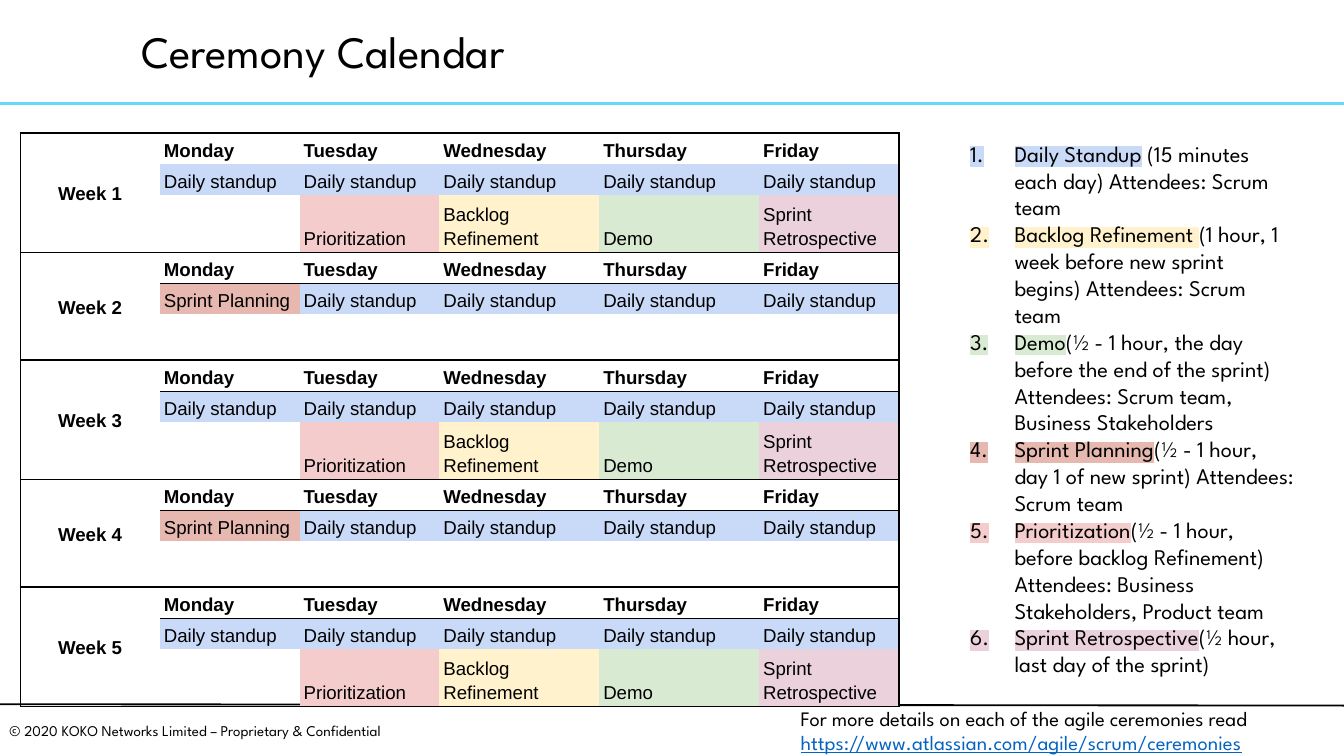
from dataclasses import dataclass

from lxml import etree
from pptx import Presentation
from pptx import util as u
from pptx.dml.color import RGBColor
from pptx.enum import shapes, text
from pptx.oxml import ns


@dataclass(frozen=True)
class Theme:
    display: str = "League Spartan"
    grid: str = "Arial"
    ink: str = "000000"
    accent: str = "65D9F8"
    link: str = "0563C1"
    title_size: float = 24
    list_size: float = 12
    details_size: float = 11
    grid_size: float = 10
    footer_size: float = 8
    border: float = 0.75


@dataclass(frozen=True)
class Ceremony:
    label: str
    color: str
    details: str


@dataclass(frozen=True)
class Box:
    left: float
    top: float
    width: float
    height: float
    inset_x: float = 0.1
    inset_y: float = 0.1


THEME = Theme()
STANDUP = Ceremony("Daily Standup", "C9DAF8", " (15 minutes each day) Attendees: Scrum team")
REFINEMENT = Ceremony("Backlog Refinement ", "FFF2CC",
                      "(1 hour, 1 week before new sprint begins) Attendees: Scrum team")
DEMO = Ceremony("Demo", "D9EAD3",
                "(½ - 1 hour, the day before the end of the sprint) "
                "Attendees: Scrum team, Business Stakeholders")
PLANNING = Ceremony("Sprint Planning", "E6B8AF",
                    "(½ - 1 hour, day 1 of new sprint) Attendees: Scrum team")
PRIORITIZATION = Ceremony("Prioritization", "F4CCCC",
                          "(½ - 1 hour, before backlog Refinement) "
                          "Attendees: Business Stakeholders, Product team")
RETROSPECTIVE = Ceremony("Sprint Retrospective", "EAD1DC", "(½ hour, last day of the sprint)")
CEREMONIES = (STANDUP, REFINEMENT, DEMO, PLANNING, PRIORITIZATION, RETROSPECTIVE)

DAYS = ("Monday", "Tuesday", "Wednesday", "Thursday", "Friday")
CLOSING_WEEK = ((STANDUP,) * 5, (None, PRIORITIZATION, REFINEMENT, DEMO, RETROSPECTIVE))
OPENING_WEEK = ((PLANNING,) + (STANDUP,) * 4, (None,) * 5)
WEEKS = (CLOSING_WEEK, OPENING_WEEK, CLOSING_WEEK, OPENING_WEEK, CLOSING_WEEK)
COLUMN_WIDTHS = (1.04, 1.04, 1.04, 1.19, 1.19, 1.04)
CALENDAR_HEIGHT = 3.28
ROWS_PER_WEEK = 3


def add_run(paragraph, words: str, size: float, font: str = THEME.display,
            color: str = THEME.ink, highlight: str = "", bold: bool = False):
    run = paragraph.add_run()
    run.text = words
    run.font.size = u.Pt(size)
    run.font.name = font
    run.font.bold = bold
    run.font.color.rgb = RGBColor.from_string(color)
    if highlight:
        marker = etree.Element(ns.qn("a:highlight"))
        etree.SubElement(marker, ns.qn("a:srgbClr"), val=highlight)
        run.font.fill._xPr.find(ns.qn("a:solidFill")).addnext(marker)
    return run


def add_text_box(slide, box: Box):
    frame = slide.shapes.add_textbox(u.Inches(box.left), u.Inches(box.top),
                                     u.Inches(box.width), u.Inches(box.height)).text_frame
    frame.word_wrap = True
    frame.margin_left = frame.margin_right = u.Inches(box.inset_x)
    frame.margin_top = frame.margin_bottom = u.Inches(box.inset_y)
    return frame


def add_rule(slide, start: tuple[float, float], end: tuple[float, float],
             color: str, width: float) -> None:
    rule = slide.shapes.add_connector(shapes.MSO_CONNECTOR.STRAIGHT,
                                      *(u.Inches(value) for value in start + end))
    rule.line.color.rgb = RGBColor.from_string(color)
    rule.line.width = u.Pt(width)
    etree.SubElement(rule._element.spPr, ns.qn("a:effectLst"))


def set_borders(cell, sides: str) -> None:
    properties = cell._tc.get_or_add_tcPr()
    for position, side in enumerate("LRTB"):
        border = etree.Element(ns.qn(f"a:ln{side}"), w=str(u.Pt(THEME.border)))
        if side in sides:
            fill = etree.SubElement(border, ns.qn("a:solidFill"))
            etree.SubElement(fill, ns.qn("a:srgbClr"), val=THEME.ink)
        else:
            etree.SubElement(border, ns.qn("a:noFill"))
        properties.insert(position, border)


def fill_cell(cell, words: str, sides: str, color: str = "",
              bold: bool = False, centered: bool = False) -> None:
    cell.margin_left = cell.margin_right = u.Inches(0.03)
    cell.margin_top = cell.margin_bottom = u.Inches(0.02)
    cell.vertical_anchor = text.MSO_ANCHOR.MIDDLE if centered else text.MSO_ANCHOR.BOTTOM
    if color:
        cell.fill.solid()
        cell.fill.fore_color.rgb = RGBColor.from_string(color)
    else:
        cell.fill.background()
    set_borders(cell, sides)
    if words:
        paragraph = cell.text_frame.paragraphs[0]
        paragraph.line_spacing = 1.15
        if centered:
            paragraph.alignment = text.PP_ALIGN.CENTER
        add_run(paragraph, words, THEME.grid_size, THEME.grid, bold=bold)


def add_week(calendar, index: int, schedule) -> None:
    top = index * ROWS_PER_WEEK
    last = top + ROWS_PER_WEEK - 1
    calendar.cell(top, 0).merge(calendar.cell(last, 0))
    fill_cell(calendar.cell(top, 0), f"Week {index + 1}", "LTB", bold=True, centered=True)
    set_borders(calendar.cell(top + 1, 0), "L")
    set_borders(calendar.cell(last, 0), "LB")
    for column, day in enumerate(DAYS, start=1):
        edge = "R" if column == len(DAYS) else ""
        underline = "B" if index else ""
        fill_cell(calendar.cell(top, column), day, "T" + underline + edge, bold=True)
        for offset, ceremonies in enumerate(schedule, start=1):
            ceremony = ceremonies[column - 1]
            sides = edge + ("B" if top + offset == last else "")
            if offset == 1 and index:
                sides += "T"
            words = ceremony.label.strip() if ceremony else ""
            if ceremony is STANDUP:
                words = words.capitalize()
            fill_cell(calendar.cell(top + offset, column), words, sides,
                      ceremony.color if ceremony else "")


def add_calendar(slide) -> None:
    calendar = slide.shapes.add_table(len(WEEKS) * ROWS_PER_WEEK, len(COLUMN_WIDTHS),
                                      u.Inches(0.15), u.Inches(0.99),
                                      u.Inches(sum(COLUMN_WIDTHS)),
                                      u.Inches(CALENDAR_HEIGHT)).table
    calendar.first_row = calendar.horz_banding = False
    for column, width in zip(calendar.columns, COLUMN_WIDTHS):
        column.width = u.Inches(width)
    for index, schedule in enumerate(WEEKS):
        add_week(calendar, index, schedule)


def add_ceremony_list(slide) -> None:
    legend = add_text_box(slide, Box(6.95, 0.94, 2.78, 4.14))
    for index, ceremony in enumerate(CEREMONIES):
        entry = legend.add_paragraph() if index else legend.paragraphs[0]
        properties = entry._p.get_or_add_pPr()
        properties.set("marL", str(u.Inches(0.5)))
        properties.set("indent", str(u.Inches(-0.33)))
        color = etree.SubElement(properties, ns.qn("a:buClr"))
        etree.SubElement(color, ns.qn("a:srgbClr"), val=THEME.ink)
        etree.SubElement(properties, ns.qn("a:buFont"), typeface=THEME.display)
        etree.SubElement(properties, ns.qn("a:buAutoNum"), type="arabicPeriod")
        add_run(entry, ceremony.label, THEME.list_size, highlight=ceremony.color)
        add_run(entry, ceremony.details, THEME.list_size)


def main() -> None:
    deck = Presentation()
    deck.slide_width, deck.slide_height = u.Inches(10), u.Inches(10 * 9 / 16)
    slide = deck.slides.add_slide(deck.slide_layouts[6])

    add_rule(slide, (0, 0.77), (10.01, 0.77), THEME.accent, 1.5)
    footer = add_text_box(slide, Box(0, 5.33, 3.97, 0.21, 0.07, 0.04))
    add_run(footer.paragraphs[0], "© 2020 KOKO Networks Limited – Proprietary & Confidential",
            THEME.footer_size)
    add_rule(slide, (0, 5.24), (10, 5.25), THEME.ink, 1)

    title = add_text_box(slide, Box(0.98, 0.08, 8.64, 0.64, 0.07, 0.04))
    title.vertical_anchor = text.MSO_ANCHOR.MIDDLE
    title.paragraphs[0].line_spacing = 0.9
    add_run(title.paragraphs[0], "Ceremony Calendar", THEME.title_size)

    add_calendar(slide)
    add_ceremony_list(slide)

    details = add_text_box(slide, Box(5.86, 5.15, 4.14, 0.29)).paragraphs[0]
    add_run(details, "For more details on each of the agile ceremonies read ", THEME.details_size)
    address = add_run(details, "https://www.atlassian.com/agile/scrum/ceremonies",
                      THEME.details_size, color=THEME.link)
    address.font.underline = True

    deck.save("out.pptx")


if __name__ == "__main__":
    main()
